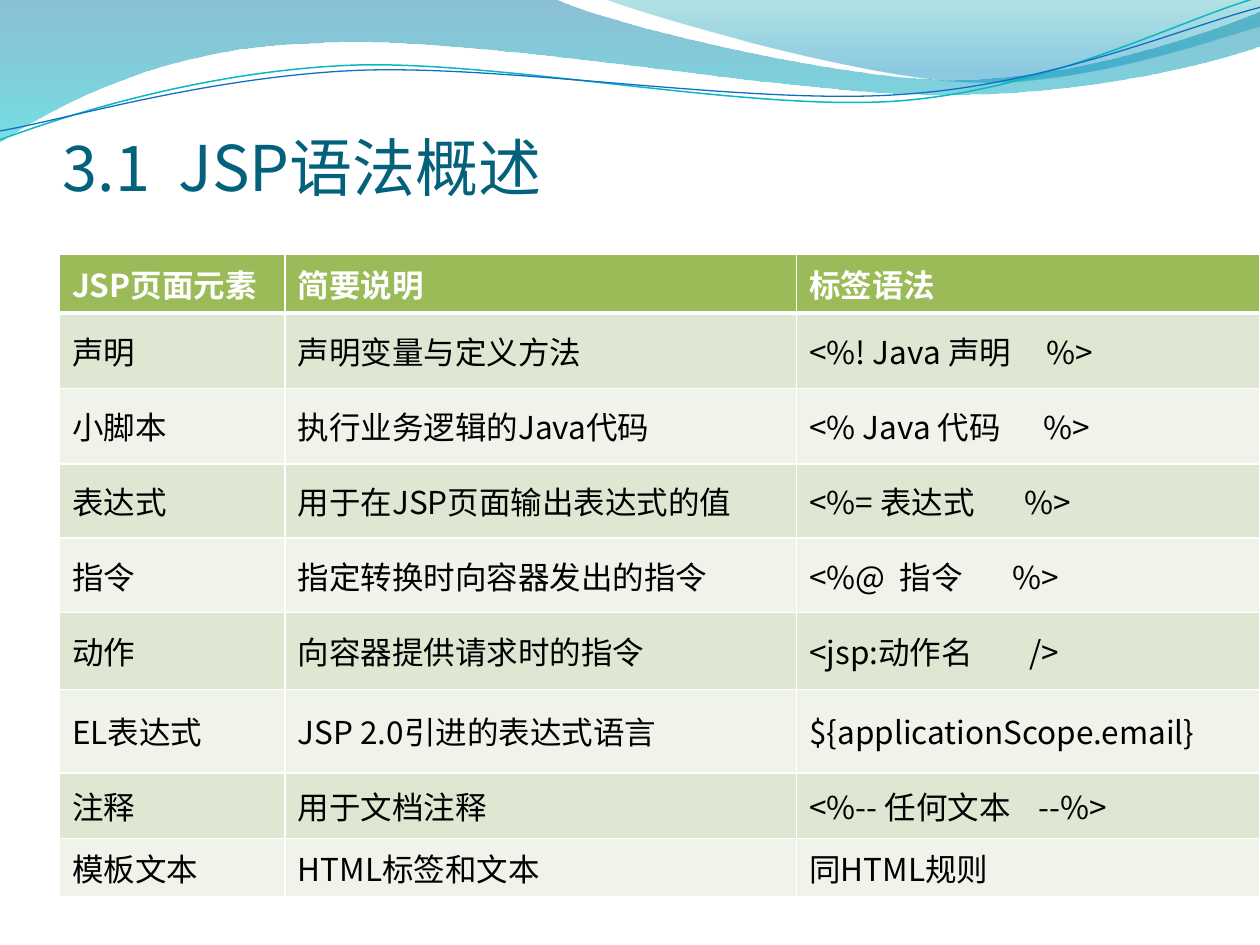
from lxml.etree import SubElement
from pptx import Presentation
from pptx.dml.color import RGBColor
from pptx.enum.text import MSO_ANCHOR
from pptx.oxml.ns import qn
from pptx.util import Cm, Pt

SANS = "Noto Sans CJK SC"


def paint(color, value):
    color.rgb = RGBColor.from_string(value)


def style(par, size, value, bold=False):
    """Format a paragraph's run; text with Latin letters is set in SANS."""
    run = par.runs[0]
    font = run.font
    font.size, font.bold = Pt(size), bold
    font.name = SANS if any(c.isascii() for c in run.text) else "Calibri"
    paint(font.color, value)
    SubElement(font._element, qn("a:ea")).set("typeface", SANS)


deck = Presentation()
deck.slide_width, deck.slide_height = Cm(25.4), Cm(19.05)
slide = deck.slides.add_slide(deck.slide_layouts[6])
shapes = slide.shapes

# Waves: a start, then straight steps (2 numbers) or Bezier steps (6 numbers);
# gradient stops are position, colour, opacity in percent
waves = [
    ([(0, 0), (11.18, -0.03),
      (12.09, 0.43, 16.87, 1.6, 19.25, 1.6),
      (21.67, 1.6, 24.33, 0.66, 25.4, 0.23), (25.43, 0.91),
      (24.97, 1.12, 22.1, 1.93, 18.95, 1.91),
      (15.8, 1.91, 9.7, 0.71, 6.53, 0.86),
      (3.28, 0.91, 1.17, 2.11, -0.03, 2.87)],
     [(0, "0074A1", 45), (1, "00C6CF", 55)], None),
    ([(12.17, -0.03),
      (12.93, 0.28, 17.32, 1.57, 19.53, 1.65),
      (21.74, 1.75, 24.41, 0.81, 25.4, 0.53), (25.4, 0)],
     [(0, "00A1A9", 30), (0.8, "008BBF", 45)], None),
    ([(-0.05, 2.22),
      (1.19, 1.82, 4.02, 1.04, 7.05, 1.05),
      (10.05, 1.07, 15.02, 2.37, 18.08, 2.29),
      (21.13, 2.2, 23.86, 0.91, 25.41, 0.55)],
     None, ("0AB8BF", 0.85)),
    ([(-0.04, 2.04),
      (1.16, 1.9, 4.17, 1.15, 7.2, 1.16),
      (10.25, 1.18, 15.13, 2.25, 18.19, 2.16),
      (21.22, 2.1, 23.93, 1.06, 25.45, 0.75)],
     None, ("0F6FC6", 0.75)),
]
for path, stops, line in waves:
    dots = [(Cm(x), Cm(y)) for step in path for x, y in zip(step[::2], step[1::2])]
    pen = shapes.build_freeform(*dots[0])
    pen.add_line_segments(dots[1:], close=bool(stops))
    wave = pen.convert_to_shape()
    wave.shadow.inherit = False

    # Join the three points of each Bezier step into one curve
    legs = iter(list(wave._element.spPr.iter(qn("a:lnTo"))))
    for step in path[1:]:
        leg = next(legs)
        if len(step) == 6:
            curve = leg.makeelement(qn("a:cubicBezTo"))
            leg.addprevious(curve)
            for part in (leg, next(legs), next(legs)):
                curve.append(part[0])
                part.getparent().remove(part)

    if stops:
        wave.line.fill.background()
        wave.fill.gradient()
        wave.fill.gradient_angle = 270
        for stop, (place, value, alpha) in zip(wave.fill.gradient_stops, stops):
            stop.position = place
            paint(stop.color, value)
        for tag, (place, value, alpha) in zip(wave._element.spPr.iter(qn("a:srgbClr")), stops):
            SubElement(tag, qn("a:alpha")).set("val", str(alpha * 1000))
    else:
        wave.rotation = -2.7
        wave.fill.background()
        paint(wave.line.color, line[0])
        wave.line.width = Pt(line[1])

# Title
title = shapes.add_textbox(Cm(1.27), Cm(1.96), Cm(22.86), Cm(2.16))
frame = title.text_frame
frame.word_wrap = True
frame.vertical_anchor = MSO_ANCHOR.BOTTOM
frame.margin_left = frame.margin_right = frame.margin_bottom = 0
frame.text = "3.1  JSP语法概述"
style(frame.paragraphs[0], 36, "04617B")

# Table of page elements
rows = [
    ("JSP页面元素", "简要说明", "标签语法"),
    ("声明", "声明变量与定义方法", "<%! Java 声明     %>"),
    ("小脚本", "执行业务逻辑的Java代码", "<% Java 代码      %>"),
    ("表达式", "用于在JSP页面输出表达式的值", "<%= 表达式       %>"),
    ("指令", "指定转换时向容器发出的指令", "<%@  指令       %>"),
    ("动作", "向容器提供请求时的指令", "<jsp:动作名        />"),
    ("EL表达式", "JSP 2.0引进的表达式语言", "${applicationScope.email}"),
    ("注释", "用于文档注释", "<%-- 任何文本    --%>"),
    ("模板文本", "HTML标签和文本", "同HTML规则"),
]
widths = [4.55, 10.31, 9.34]
heights = [1.18, 1.52, 1.52, 1.5, 1.5, 1.55, 1.68, 1.32, 1.18]
table = shapes.add_table(len(rows), len(widths), Cm(1.2), Cm(5.13),
                         Cm(sum(widths)), Cm(sum(heights))).table
for col, width in zip(table.columns, widths):
    col.width = Cm(width)
for r, (texts, height) in enumerate(zip(rows, heights)):
    table.rows[r].height = Cm(height)
    for c, text in enumerate(texts):
        cell = table.cell(r, c)
        cell.text_frame.text = text
        cell.vertical_anchor = MSO_ANCHOR.MIDDLE
        style(cell.text_frame.paragraphs[0], 18, "000000" if r else "FFFFFF", r == 0)

        # White borders, thick below the header
        for side in "LRTB":
            thick = (r, side) in [(0, "B"), (1, "T")]
            edge = SubElement(cell._tc.get_or_add_tcPr(), qn("a:ln" + side))
            edge.set("w", str(Pt(3 if thick else 1)))
            fill = SubElement(edge, qn("a:solidFill"))
            SubElement(fill, qn("a:srgbClr")).set("val", "FFFFFF")

        cell.fill.solid()
        band = "DEE7D1" if r % 2 else "EFF3EA"
        paint(cell.fill.fore_color, band if r else "9BBB59")

deck.save("out.pptx")
